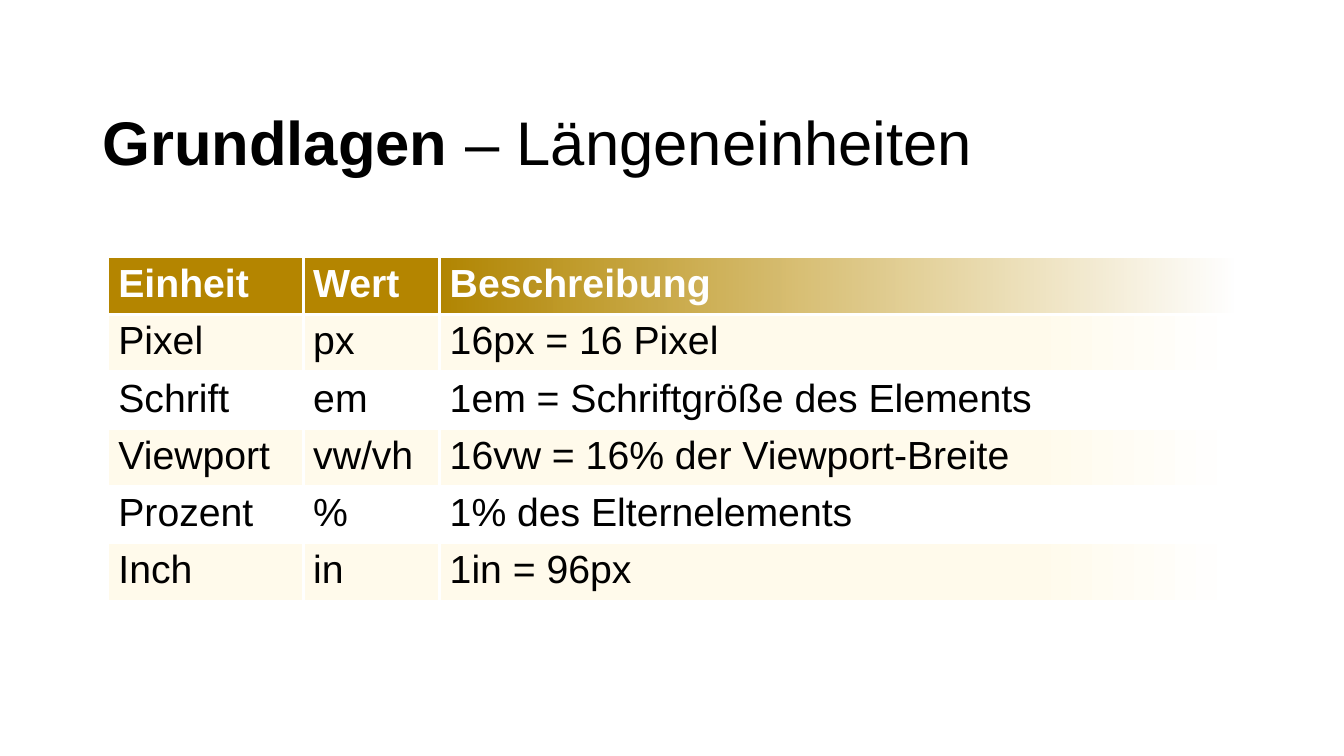
from dataclasses import dataclass

from lxml.etree import SubElement
from pptx import Presentation
from pptx.dml.color import RGBColor
from pptx.enum.text import MSO_ANCHOR
from pptx.oxml.ns import qn
from pptx.util import Cm, Pt


@dataclass(frozen=True)
class Theme:
    font: str = "Arial"
    title_size: int = 44
    table_size: int = 28
    border_width: float = 2.25
    black: str = "000000"
    white: str = "FFFFFF"
    gold: str = "B48500"
    gold_start: str = "BF9000"
    gold_end: str = "B28600"
    cream: str = "FFFAEB"


theme = Theme()


def add_span(para, text, size, color, bold):
    span = para.add_run()
    span.text = text
    span.font.name = theme.font
    span.font.size = Pt(size)
    span.font.bold = bold
    span.font.color.rgb = RGBColor.from_string(color)


def add_gradient(properties, stops, angle):
    gradient = SubElement(properties, qn("a:gradFill"), rotWithShape="1")
    stop_list = SubElement(gradient, qn("a:gsLst"))
    for position, color, opacity in stops:
        stop = SubElement(stop_list, qn("a:gs"), pos=str(position * 1000))
        tint = SubElement(stop, qn("a:srgbClr"), val=color)
        if opacity < 100:
            SubElement(tint, qn("a:alpha"), val=str(opacity * 1000))
    SubElement(gradient, qn("a:lin"), ang=str(angle * 60000), scaled="0")


deck = Presentation()
deck.slide_width = Cm(33.87)
deck.slide_height = Cm(19.05)
page = deck.slides.add_slide(deck.slide_layouts[6])

title_box = page.shapes.add_textbox(Cm(2.33), Cm(1.83), Cm(29.21), Cm(3.68))
title_box.text_frame.word_wrap = True
title_box.text_frame.vertical_anchor = MSO_ANCHOR.MIDDLE
title_para = title_box.text_frame.paragraphs[0]
title_para.line_spacing = 0.9
add_span(title_para, "Grundlagen", theme.title_size, theme.black, True)
add_span(title_para, " – Längeneinheiten", theme.title_size, theme.black, False)

units = [
    ("Einheit", "Wert", "Beschreibung"),
    ("Pixel", "px", "16px = 16 Pixel"),
    ("Schrift", "em", "1em = Schriftgröße des Elements"),
    ("Viewport", "vw/vh", "16vw = 16% der Viewport-Breite"),
    ("Prozent", "%", "1% des Elternelements"),
    ("Inch", "in", "1in = 96px"),
]
column_widths = [Cm(4.91), Cm(3.44), Cm(20.1)]
row_height = Cm(1.04)
last_row = len(units) - 1
last_column = len(column_widths) - 1

header_fade = [(0, theme.gold_start, 0), (100, theme.gold_end, 100)]
band_fade = [(0, theme.cream, 100), (74, theme.cream, 100), (100, theme.white, 100)]

table = page.shapes.add_table(
    len(units), len(column_widths), Cm(2.73), Cm(6.48),
    sum(column_widths), row_height * len(units),
).table
table.horz_banding = False
for column, width in zip(table.columns, column_widths):
    column.width = width

for row_index, texts in enumerate(units):
    table.rows[row_index].height = row_height
    is_header = row_index == 0
    is_band = row_index % 2 == 1
    for column_index, text in enumerate(texts):
        cell = table.cell(row_index, column_index)
        text_color = theme.white if is_header else theme.black
        add_span(cell.text_frame.paragraphs[0], text, theme.table_size, text_color, is_header)

        properties = cell._tc.get_or_add_tcPr()
        inner_sides = {
            "a:lnL": column_index > 0,
            "a:lnR": column_index < last_column,
            "a:lnT": row_index > 0,
            "a:lnB": row_index < last_row,
        }
        for side, is_inner in inner_sides.items():
            if is_inner:
                border = SubElement(properties, qn(side), w=str(Pt(theme.border_width)))
                border_fill = SubElement(border, qn("a:solidFill"))
                SubElement(border_fill, qn("a:srgbClr"), val=theme.white)

        if column_index == last_column and is_header:
            add_gradient(properties, header_fade, 180)
        elif column_index == last_column and is_band:
            add_gradient(properties, band_fade, 0)
        else:
            fill_color = theme.gold if is_header else theme.cream if is_band else theme.white
            cell.fill.solid()
            cell.fill.fore_color.rgb = RGBColor.from_string(fill_color)

deck.save("out.pptx")
